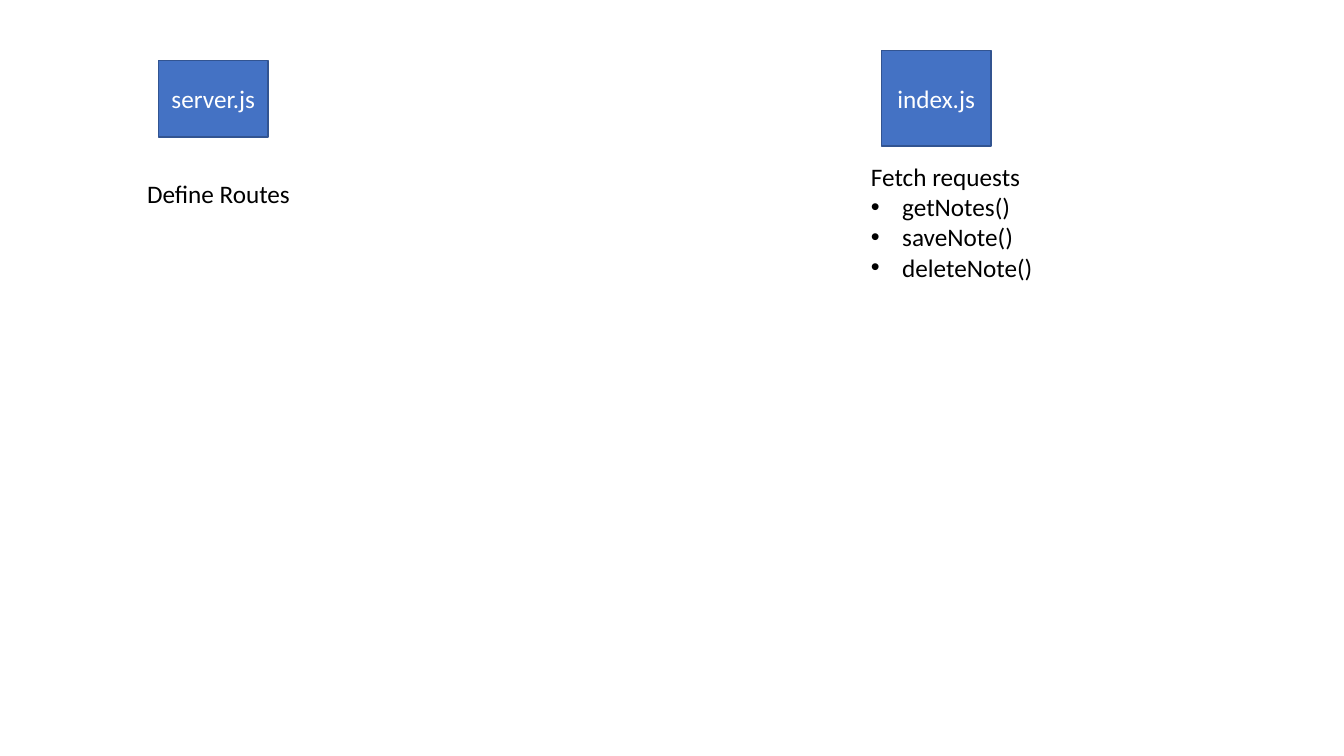
import pptx
import pptx.util
import pptx.dml.color
import pptx.enum.shapes
import pptx.enum.text
import pptx.oxml.ns
import lxml.etree

Inches = pptx.util.Inches
RGBColor = pptx.dml.color.RGBColor

BLUE = RGBColor(0x44, 0x72, 0xC4)
DARK_BLUE = RGBColor(0x32, 0x54, 0x91)
WHITE = RGBColor(0xFF, 0xFF, 0xFF)
BLACK = RGBColor(0x00, 0x00, 0x00)


class SlideBuilder:
    """Holds the text style and the slide being built."""

    font_name = "Calibri"
    font_size = pptx.util.Pt(18)
    bullet_indent = Inches(0.31)

    def __init__(self, slide):
        self.slide = slide

    def set_font(self, paragraph, color):
        paragraph.font.name = self.font_name
        paragraph.font.size = self.font_size
        paragraph.font.color.rgb = color

    def add_bullet(self, paragraph):
        properties = paragraph._p.get_or_add_pPr()
        properties.set("marL", str(self.bullet_indent))
        properties.set("indent", str(-self.bullet_indent))
        qn = pptx.oxml.ns.qn
        lxml.etree.SubElement(properties, qn("a:buFont"), typeface="Arial")
        lxml.etree.SubElement(properties, qn("a:buChar"), char="•")

    def file_box(self, name, left, top, width, height):
        shape = self.slide.shapes.add_shape(
            pptx.enum.shapes.MSO_SHAPE.RECTANGLE,
            Inches(left), Inches(top), Inches(width), Inches(height))
        shape.shadow.inherit = False
        shape.fill.solid()
        shape.fill.fore_color.rgb = BLUE
        shape.line.color.rgb = DARK_BLUE
        shape.line.width = pptx.util.Pt(1)
        shape.text_frame.vertical_anchor = pptx.enum.text.MSO_ANCHOR.MIDDLE
        paragraph = shape.text_frame.paragraphs[0]
        paragraph.text = name
        paragraph.alignment = pptx.enum.text.PP_ALIGN.CENTER
        self.set_font(paragraph, WHITE)

    def description(self, heading, left, top, width, height, bullets=()):
        shape = self.slide.shapes.add_textbox(
            Inches(left), Inches(top), Inches(width), Inches(height))
        frame = shape.text_frame
        frame.word_wrap = True
        frame.auto_size = pptx.enum.text.MSO_AUTO_SIZE.SHAPE_TO_FIT_TEXT
        frame.text = "\n".join([heading, *bullets])
        for paragraph in frame.paragraphs:
            self.set_font(paragraph, BLACK)
        for paragraph in frame.paragraphs[1:]:
            self.add_bullet(paragraph)


def main():
    presentation = pptx.Presentation()
    presentation.slide_width = Inches(13.33)
    presentation.slide_height = Inches(7.5)
    blank_layout = presentation.slide_layouts[6]
    builder = SlideBuilder(presentation.slides.add_slide(blank_layout))

    # Client side
    builder.file_box("index.js", 8.74, 0.5, 1.09, 0.95)
    builder.description("Fetch requests", 8.54, 1.55, 2.58, 1.31,
                        ["getNotes()", "saveNote()", "deleteNote()"])

    # Server side
    builder.description("Define Routes", 1.36, 1.72, 2.58, 0.4)
    builder.file_box("server.js", 1.57, 0.6, 1.09, 0.76)

    presentation.save("out.pptx")


if __name__ == "__main__":
    main()
